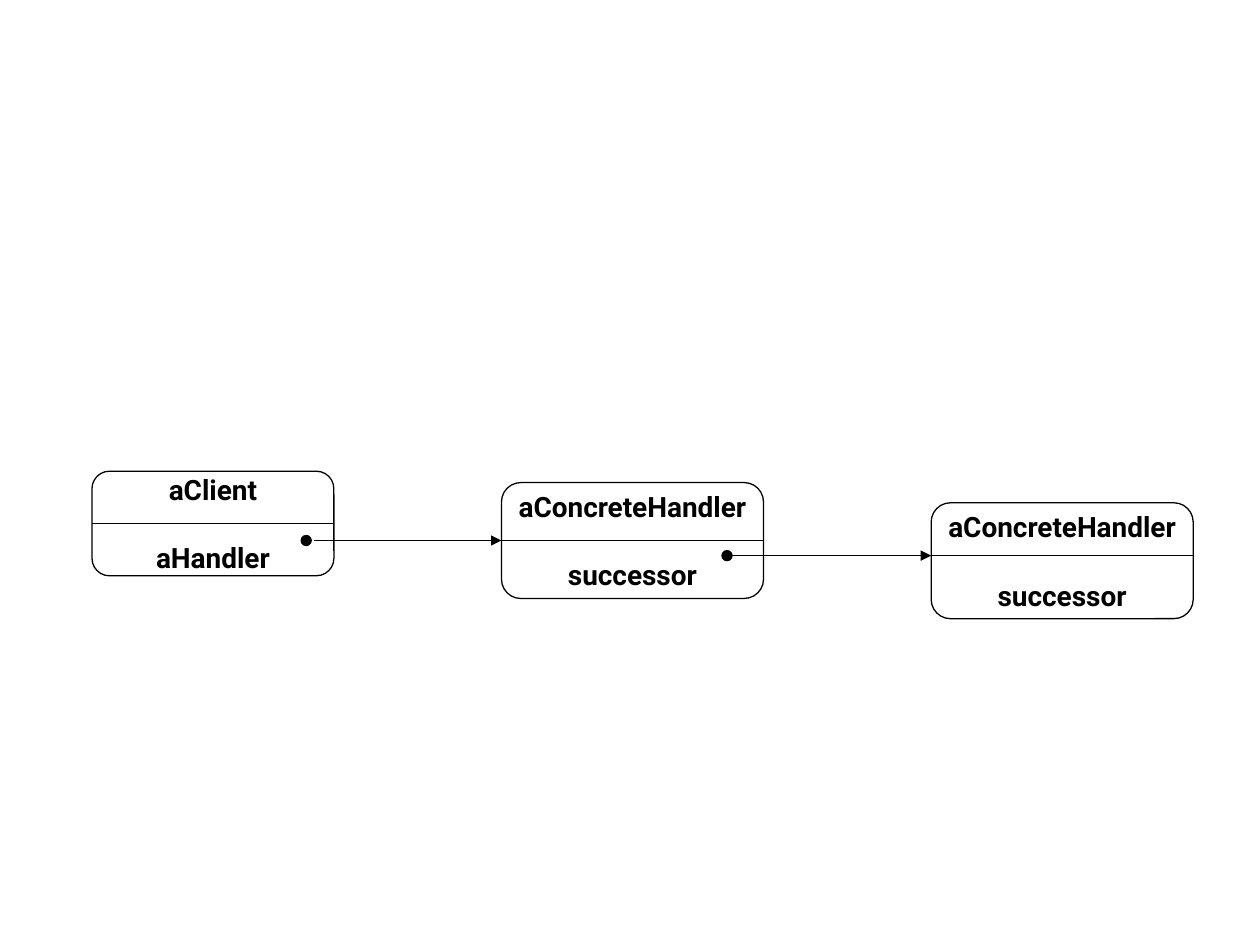
from lxml import etree
from pptx import Presentation
from pptx import util as u
from pptx.dml import color
from pptx.enum import shapes, text
from pptx.oxml import ns

COLORS = {"ink": "000000"}
FONT = "Roboto"
LINE_WIDTH = u.Pt(0.75)
DOT_SIZE = 0.08
LEFT_SIDE, RIGHT_SIDE = 1, 3


def rgb(name):
    """Return the named colour."""
    return color.RGBColor.from_string(COLORS[name])


def add_paragraph(frame, content, size=16, bold=True, space_before=0, first=False):
    """Write one centred paragraph into a text frame."""
    paragraph = frame.paragraphs[0] if first else frame.add_paragraph()
    paragraph.text = content
    paragraph.alignment = text.PP_ALIGN.CENTER
    if space_before:
        paragraph.space_before = u.Pt(space_before)
    font = paragraph.font
    font.name, font.size, font.bold = FONT, u.Pt(size), bold
    font.color.rgb = rgb("ink")


def add_outline(slide, kind, box):
    """Add a preset shape with a thin line and no fill."""
    shape = slide.shapes.add_shape(kind, *map(u.Inches, box))
    shape.shadow.inherit = False
    shape.fill.background()
    shape.line.color.rgb = rgb("ink")
    shape.line.width = LINE_WIDTH
    return shape


def add_line(slide, start_x, end_x, y, arrow=False):
    """Add a horizontal line, with an arrowhead at its end on request."""
    connector = slide.shapes.add_connector(
        shapes.MSO_CONNECTOR.STRAIGHT,
        *map(u.Inches, (start_x, y, end_x, y)))
    connector.line.color.rgb = rgb("ink")
    connector.line.width = LINE_WIDTH
    if arrow:
        line = connector.line._get_or_add_ln()
        etree.SubElement(line, ns.qn("a:tailEnd"), type="triangle")
    etree.SubElement(connector._element.spPr, ns.qn("a:effectLst"))
    return connector


def add_object(slide, box, name, reference, divider_y=None):
    """Add an object box with its name above and its reference below a divider."""
    left, top, width, height = box
    shape = add_outline(slide, shapes.MSO_SHAPE.ROUNDED_RECTANGLE, box)
    shape.adjustments[0] = 0.167
    frame = shape.text_frame
    frame.word_wrap = False
    frame.vertical_anchor = text.MSO_ANCHOR.MIDDLE
    add_paragraph(frame, name, first=True)
    add_paragraph(frame, reference, space_before=20)
    middle = top + height / 2
    divider = add_line(slide, left, left + width, divider_y or middle)
    if divider_y is None:
        divider.begin_connect(shape, LEFT_SIDE)
        divider.end_connect(shape, RIGHT_SIDE)
    return shape


def add_reference(slide, dot_left, end_x, y, gap=0):
    """Add a dot and an arrow that leads from it to the next object."""
    dot = add_outline(slide, shapes.MSO_SHAPE.OVAL,
                      (dot_left, y - DOT_SIZE / 2, DOT_SIZE, DOT_SIZE))
    dot.fill.solid()
    dot.fill.fore_color.rgb = rgb("ink")
    return add_line(slide, dot_left + DOT_SIZE + gap, end_x, y, arrow=True)


def add_handler_chain(slide):
    """Add the client, the two handlers and the references between them."""
    add_object(slide, (0.73, 3.74, 1.92, 0.83), "aClient", "aHandler")
    handler = add_object(slide, (3.98, 3.83, 2.08, 0.92),
                         "aConcreteHandler", "successor")
    add_object(slide, (7.39, 3.99, 2.08, 0.92),
               "aConcreteHandler", "successor", divider_y=4.41)
    to_handler = add_reference(slide, 2.39, 3.98, 4.29, gap=0.02)
    to_handler.end_connect(handler, LEFT_SIDE)
    add_reference(slide, 5.73, 7.39, 4.41)


def main():
    """Build and save the presentation."""
    presentation = Presentation()
    presentation.slide_width = u.Inches(10)
    presentation.slide_height = u.Inches(7.5)
    slide = presentation.slides.add_slide(presentation.slide_layouts[6])
    add_handler_chain(slide)
    presentation.save("out.pptx")


if __name__ == "__main__":
    main()
